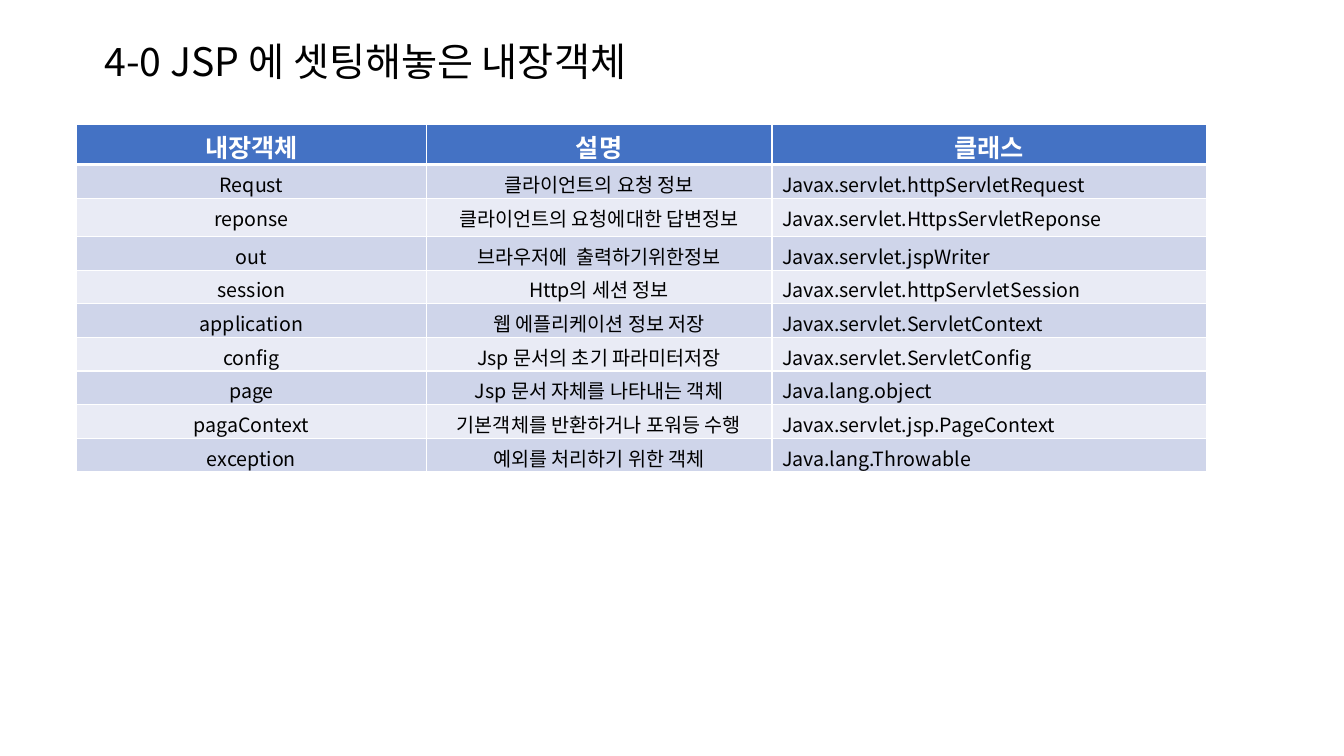
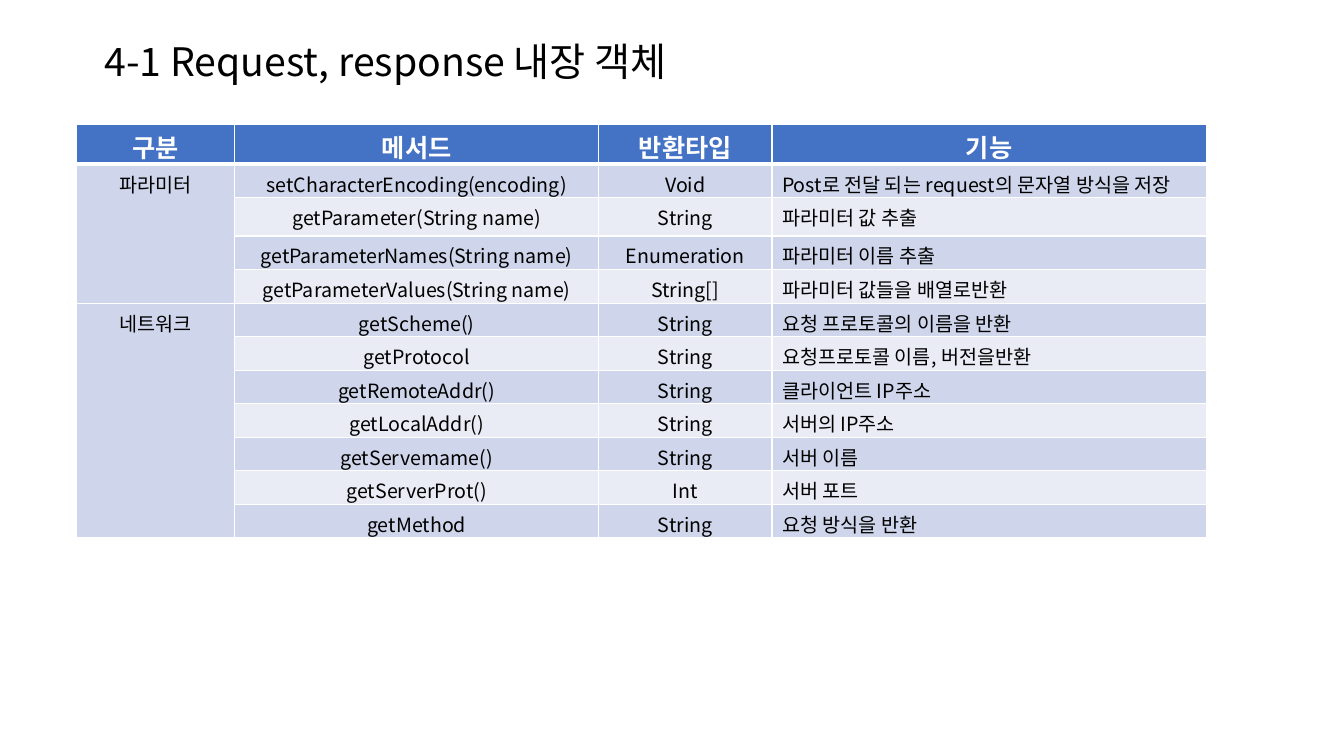
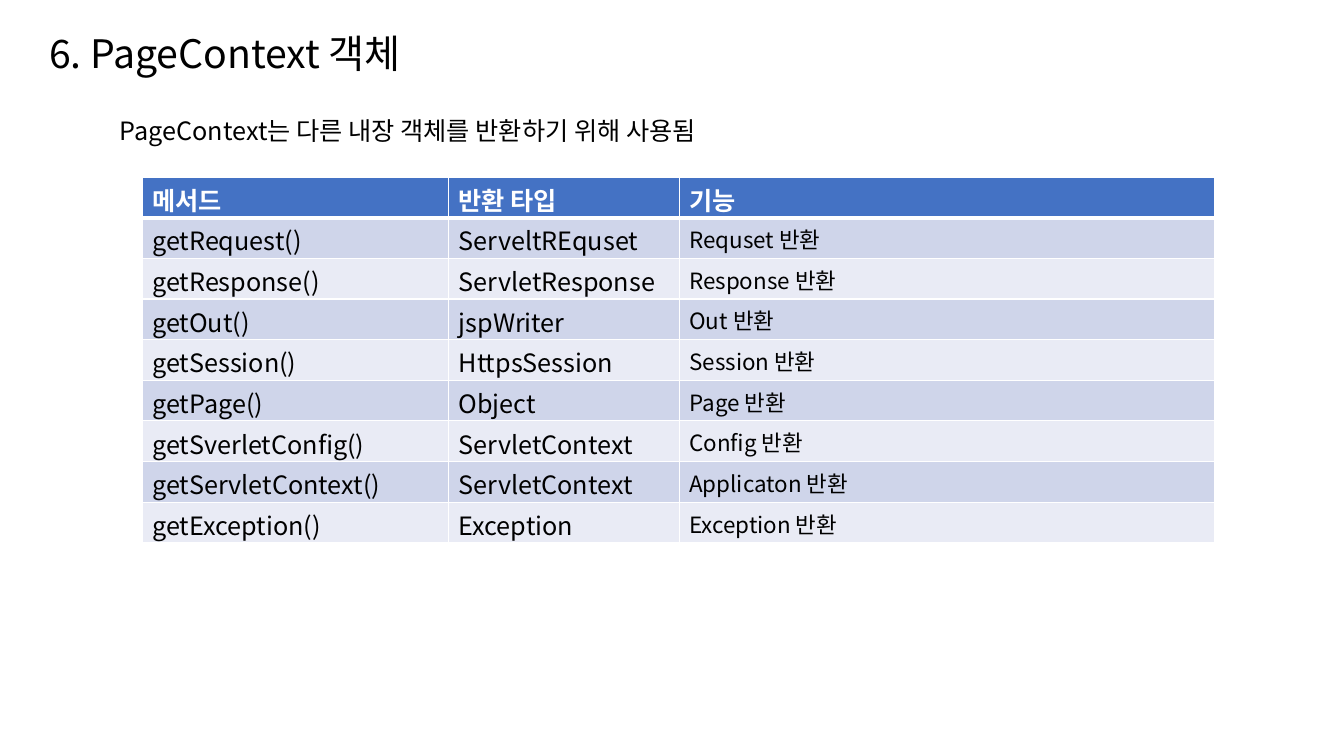
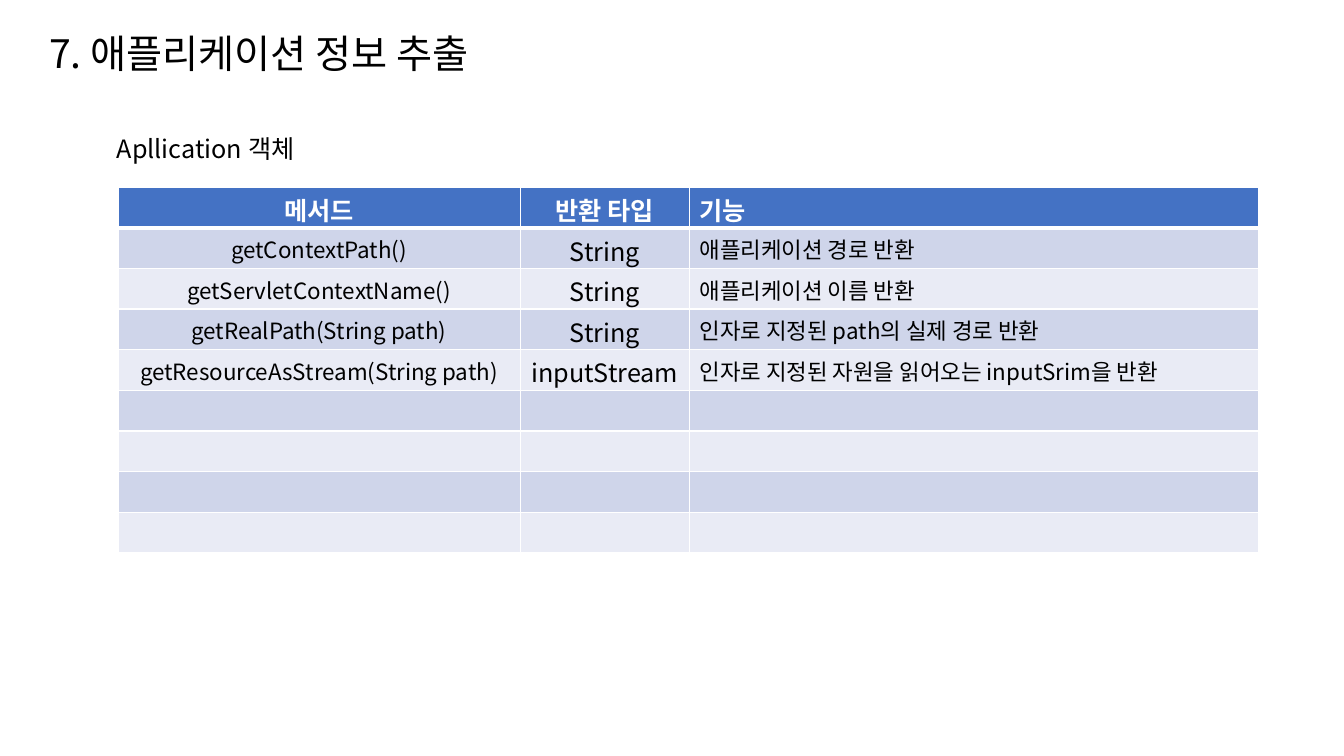
from dataclasses import dataclass

from lxml import etree
from pptx import Presentation
from pptx.dml.color import RGBColor
from pptx.enum.text import MSO_ANCHOR, PP_ALIGN
from pptx.oxml.ns import qn
from pptx.util import Inches, Pt

# Shared look
FONT = "Noto Sans CJK KR"
BLACK = RGBColor(0x00, 0x00, 0x00)
WHITE = RGBColor(0xFF, 0xFF, 0xFF)
HEADER_FILL = RGBColor(0x44, 0x72, 0xC4)
BANDS = (RGBColor(0xCF, 0xD5, 0xEA), RGBColor(0xE9, 0xEB, 0xF5))
LEFT, CENTER = PP_ALIGN.LEFT, PP_ALIGN.CENTER
MIDDLE = MSO_ANCHOR.MIDDLE
TITLE_SIZE, HEAD_SIZE = 28, 18

# Grid: 100 columns by 100 rows on the slide
SLIDE_W, SLIDE_H = Inches(13.33), Inches(7.5)
HEADER_ROW, SMALL_ROW, TALL_ROW, LARGE_ROW = 5.33, 4.44, 5.07, 5.38


def cols(n: float) -> int:
    return round(SLIDE_W * n / 100)


def rows(n: float) -> int:
    return round(SLIDE_H * n / 100)


@dataclass
class Label:
    """One line of text; x, y, w, h in grid units."""
    text: str
    x: float
    y: float
    w: float
    h: float
    size: int


@dataclass
class Grid:
    """A banded table; the first line of cells is the header."""
    x: float
    y: float
    widths: tuple[float, ...]
    heights: list[float]
    sizes: tuple[int, ...]
    aligns: tuple[int, ...]
    head_aligns: tuple[int, ...]
    cells: list[tuple[str, ...]]
    merges: tuple[tuple[int, int], ...] = ()


@dataclass
class Page:
    labels: list[Label]
    grid: Grid


def write(tf, text: str, *, size: int, color: RGBColor = BLACK,
          bold: bool = False, align: int = LEFT) -> None:
    p = tf.paragraphs[0]
    p.alignment = align
    r = p.add_run()
    r.text = text
    r.font.name, r.font.size, r.font.bold = FONT, Pt(size), bold
    r.font.color.rgb = color
    ea = etree.SubElement(r.font._element, qn("a:ea"))
    ea.set("typeface", FONT)


def draw_label(slide, label: Label) -> None:
    tf = slide.shapes.add_textbox(cols(label.x), rows(label.y),
                                  cols(label.w), rows(label.h)).text_frame
    tf.word_wrap = True
    tf.vertical_anchor = MIDDLE
    tf.margin_top = tf.margin_bottom = 0
    write(tf, label.text, size=label.size)


def set_borders(cell, top: float, bottom: float) -> None:
    tc_pr = cell._tc.get_or_add_tcPr()
    for side, width in (("L", 1), ("R", 1), ("T", top), ("B", bottom)):
        ln = etree.SubElement(tc_pr, qn(f"a:ln{side}"), w=str(Pt(width)))
        fill = etree.SubElement(ln, qn("a:solidFill"))
        etree.SubElement(fill, qn("a:srgbClr"), val=str(WHITE))


def draw_grid(slide, grid: Grid) -> None:
    table = slide.shapes.add_table(
        len(grid.heights), len(grid.widths), cols(grid.x), rows(grid.y),
        cols(sum(grid.widths)), rows(sum(grid.heights))).table
    for column, width in zip(table.columns, grid.widths):
        column.width = cols(width)
    for row, height in zip(table.rows, grid.heights):
        row.height = rows(height)
    for first, last in grid.merges:
        table.cell(first, 0).merge(table.cell(last, 0))

    for i in range(len(grid.heights)):
        head = i == 0
        aligns = grid.head_aligns if head else grid.aligns
        for j, align in enumerate(aligns):
            cell = table.cell(i, j)
            size = HEAD_SIZE if head else grid.sizes[j]
            cell.margin_top = Inches(0.04 if size == HEAD_SIZE else 0.05)
            cell.margin_bottom = 0
            set_borders(cell, top=3 if i == 1 else 1, bottom=3 if head else 1)
            cell.fill.solid()
            cell.fill.fore_color.rgb = HEADER_FILL if head else BANDS[(i - 1) % 2]
            text = grid.cells[i][j] if i < len(grid.cells) else ""
            if text:
                write(cell.text_frame, text, size=size, bold=head, align=align,
                      color=WHITE if head else BLACK)


def chapter_title(text: str) -> Label:
    return Label(text, 7.05, 4.27, 82.72, 7.6, TITLE_SIZE)


def section_title(text: str) -> Label:
    return Label(text, 2.92, 3.2, 82.72, 7.6, TITLE_SIZE)


def subtitle(text: str, x: float, y: float) -> Label:
    return Label(text, x, y, 80.62, 5.33, HEAD_SIZE)


def small_rows(count: int) -> list[float]:
    """Header, then small rows of which the second is taller."""
    return [HEADER_ROW, SMALL_ROW, TALL_ROW] + [SMALL_ROW] * (count - 2)


LARGE_ROWS = [HEADER_ROW] + [LARGE_ROW] * 8

# Content
PAGES = [
    Page([chapter_title("4-0 JSP 에 셋팅해놓은 내장객체")], Grid(
        5.7, 16.4, (26.02, 25.72, 32.32), small_rows(9), (14,) * 3,
        (CENTER, CENTER, LEFT), (CENTER,) * 3, [
            ("내장객체", "설명", "클래스"),
            ("Requst", "클라이언트의 요청 정보", "Javax.servlet.httpServletRequest"),
            ("reponse", "클라이언트의 요청에대한 답변정보", "Javax.servlet.HttpsServletReponse"),
            ("out", "브라우저에  출력하기위한정보", "Javax.servlet.jspWriter"),
            ("session", "Http의 세션 정보", "Javax.servlet.httpServletSession"),
            ("application", "웹 에플리케이션 정보 저장", "Javax.servlet.ServletContext"),
            ("config", "Jsp 문서의 초기 파라미터저장", "Javax.servlet.ServletConfig"),
            ("page", "Jsp 문서 자체를 나타내는 객체", "Java.lang.object"),
            ("pagaContext", "기본객체를 반환하거나 포워등 수행", "Javax.servlet.jsp.PageContext"),
            ("exception", "예외를 처리하기 위한 객체", "Java.lang.Throwable"),
        ])),
    Page([chapter_title("4-1 Request, response 내장 객체")], Grid(
        5.7, 16.4, (11.77, 27.07, 12.9, 32.32), small_rows(11), (14,) * 4,
        (CENTER, CENTER, CENTER, LEFT), (CENTER,) * 4, [
            ("구분", "메서드", "반환타입", "기능"),
            ("파라미터", "setCharacterEncoding(encoding)", "Void",
             "Post로 전달 되는 request의 문자열 방식을 저장"),
            ("", "getParameter(String name)", "String", "파라미터 값 추출"),
            ("", "getParameterNames(String name)", "Enumeration", "파라미터 이름 추출"),
            ("", "getParameterValues(String name)", "String[]", "파라미터 값들을 배열로반환"),
            ("네트워크", "getScheme()", "String", "요청 프로토콜의 이름을 반환"),
            ("", "getProtocol", "String", "요청프로토콜 이름, 버전을반환"),
            ("", "getRemoteAddr()", "String", "클라이언트 IP주소"),
            ("", "getLocalAddr()", "String", "서버의 IP주소"),
            ("", "getServemame()", "String", "서버 이름"),
            ("", "getServerProt()", "Int", "서버 포트"),
            ("", "getMethod", "String", "요청 방식을 반환"),
        ], merges=((1, 4), (5, 11)))),
    Page([section_title("6. PageContext 객체"),
          subtitle("PageContext는 다른 내장 객체를 반환하기 위해 사용됨", 8.18, 14.53)], Grid(
        10.58, 23.47, (22.8, 17.17, 39.82), LARGE_ROWS, (18, 18, 16),
        (LEFT,) * 3, (LEFT,) * 3, [
            ("메서드", "반환 타입", "기능"),
            ("getRequest()", "ServeltREquset", "Requset 반환"),
            ("getResponse()", "ServletResponse", "Response 반환"),
            ("getOut()", "jspWriter", "Out 반환"),
            ("getSession()", "HttpsSession", "Session 반환"),
            ("getPage()", "Object", "Page 반환"),
            ("getSverletConfig()", "ServletContext", "Config 반환"),
            ("getServletContext()", "ServletContext", "Applicaton 반환"),
            ("getException()", "Exception", "Exception 반환"),
        ])),
    Page([section_title("7. 애플리케이션 정보 추출"),
          subtitle("Apllication 객체", 7.95, 16.93)], Grid(
        8.78, 24.8, (29.92, 12.6, 42.37), LARGE_ROWS, (16, 18, 16),
        (CENTER, CENTER, LEFT), (CENTER, CENTER, LEFT), [
            ("메서드", "반환 타입", "기능"),
            ("getContextPath()", "String", "애플리케이션 경로 반환"),
            ("getServletContextName()", "String", "애플리케이션 이름 반환"),
            ("getRealPath(String path)", "String", "인자로 지정된 path의 실제 경로 반환"),
            ("getResourceAsStream(String path)", "inputStream",
             "인자로 지정된 자원을 읽어오는 inputSrim을 반환"),
        ])),
]


def main() -> None:
    prs = Presentation()
    prs.slide_width, prs.slide_height = SLIDE_W, SLIDE_H
    blank = prs.slide_layouts[6]
    for page in PAGES:
        slide = prs.slides.add_slide(blank)
        draw_grid(slide, page.grid)
        for label in page.labels:
            draw_label(slide, label)
    prs.save("out.pptx")


if __name__ == "__main__":
    main()
